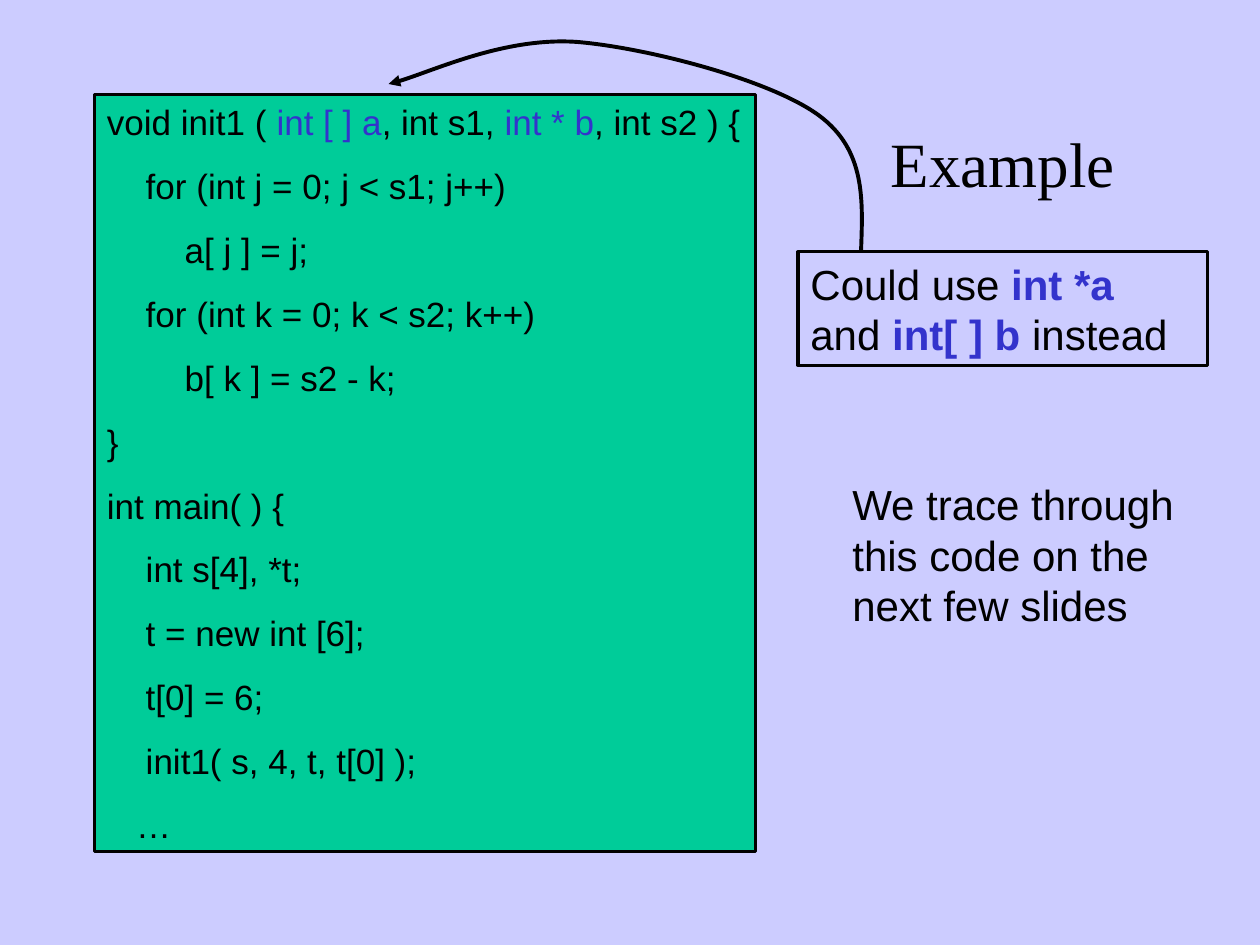
from dataclasses import dataclass

from lxml import etree
from pptx import Presentation
from pptx.dml.color import RGBColor
from pptx.enum.shapes import MSO_SHAPE
from pptx.enum.text import MSO_ANCHOR, PP_ALIGN
from pptx.oxml.ns import qn
from pptx.util import Pt

RECTANGLE = MSO_SHAPE.RECTANGLE
TOP, MIDDLE = MSO_ANCHOR.TOP, MSO_ANCHOR.MIDDLE
LEFT, CENTER = PP_ALIGN.LEFT, PP_ALIGN.CENTER


@dataclass(frozen=True)
class Theme:
    background: RGBColor = RGBColor(0xCC, 0xCC, 0xFF)
    panel: RGBColor = RGBColor(0x00, 0xCC, 0x99)
    ink: RGBColor = RGBColor(0x00, 0x00, 0x00)
    accent: RGBColor = RGBColor(0x33, 0x33, 0xCC)
    title_font: str = "Times New Roman"
    body_font: str = "Arial"
    title_size: float = 36
    code_size: float = 20
    note_size: float = 24
    line_height: float = 1.2
    code_gap: float = 12.5
    border: float = 1.75
    arrow: float = 2.25


def write_text(frame, paragraphs, *, font, size, color, accent, accent_bold=False,
               align=LEFT, anchor=TOP, line_height=None, gap=0):
    """Fill a frame; in each paragraph, text between backticks is accented."""
    frame.word_wrap = True
    frame.vertical_anchor = anchor
    for index, content in enumerate(paragraphs):
        paragraph = frame.add_paragraph() if index else frame.paragraphs[0]
        paragraph.alignment = align
        paragraph.space_before = Pt(gap if index else 0)
        if line_height:
            paragraph.line_spacing = Pt(size * line_height)
        for position, part in enumerate(content.split("`")):
            if not part:
                continue
            accented = position % 2 == 1
            run = paragraph.add_run()
            run.text = part
            run.font.name = font
            run.font.size = Pt(size)
            run.font.bold = accented and accent_bold
            run.font.color.rgb = accent if accented else color


class SlideBuilder:
    def __init__(self, presentation, theme):
        self.theme = theme
        self.slide = presentation.slides.add_slide(presentation.slide_layouts[5])
        fill = self.slide.background.fill
        fill.solid()
        fill.fore_color.rgb = theme.background

    def title(self, text, left, top, width, height):
        shape = self.slide.shapes.title
        shape.left, shape.top, shape.width, shape.height = map(Pt, (left, top, width, height))
        write_text(shape.text_frame, [text], font=self.theme.title_font,
                   size=self.theme.title_size, color=self.theme.ink,
                   accent=self.theme.accent, align=CENTER, anchor=MIDDLE)

    def body_text(self, shape, paragraphs, size, **style):
        write_text(shape.text_frame, paragraphs, font=self.theme.body_font, size=size,
                   color=self.theme.ink, accent=self.theme.accent,
                   line_height=self.theme.line_height, **style)

    def box(self, paragraphs, left, top, width, height, size, fill=None, **style):
        shape = self.slide.shapes.add_shape(RECTANGLE, *map(Pt, (left, top, width, height)))
        shape.shadow.inherit = False
        if fill is None:
            shape.fill.background()
        else:
            shape.fill.solid()
            shape.fill.fore_color.rgb = fill
        self.outline(shape, self.theme.border)
        self.body_text(shape, paragraphs, size, **style)

    def note(self, text, left, top, width, height):
        shape = self.slide.shapes.add_textbox(*map(Pt, (left, top, width, height)))
        self.body_text(shape, [text], self.theme.note_size)

    def outline(self, shape, width):
        shape.line.color.rgb = self.theme.ink
        shape.line.width = Pt(width)

    def curved_arrow(self, start, controls):
        """Draw Bezier curves; each three control points form one curve."""
        builder = self.slide.shapes.build_freeform(*map(Pt, start))
        builder.add_line_segments([(Pt(x), Pt(y)) for x, y in controls], close=False)
        shape = builder.convert_to_shape()
        shape.shadow.inherit = False
        shape.fill.background()
        self.outline(shape, self.theme.arrow)
        # Merge each three straight segments into a cubic curve
        segments = list(shape.element.iter(qn("a:lnTo")))
        for first in range(0, len(segments), 3):
            curve = etree.Element(qn("a:cubicBezTo"))
            segments[first].addprevious(curve)
            for segment in segments[first:first + 3]:
                curve.append(segment[0])
                segment.getparent().remove(segment)
        line = shape.element.spPr.find(qn("a:ln"))
        etree.SubElement(line, qn("a:tailEnd"), type="triangle")


CODE = [
    "void init1 ( `int [ ] a`, int s1, `int * b`, int s2 ) {",
    "    for (int j = 0; j < s1; j++)",
    "        a[ j ] = j;",
    "    for (int k = 0; k < s2; k++)",
    "        b[ k ] = s2 - k;",
    "}",
    "int main( ) {",
    "    int s[4], *t;",
    "    t = new int [6];",
    "    t[0] = 6;",
    "    init1( s, 4, t, t[0] );",
    "   …",
]


def main():
    theme = Theme()
    presentation = Presentation()
    presentation.slide_width, presentation.slide_height = Pt(720), Pt(540)
    builder = SlideBuilder(presentation, theme)

    # Title and code panel
    builder.title("Example", 480, 48, 186, 90)
    builder.box(CODE, 54, 54, 378, 432.7, theme.code_size,
                fill=theme.panel, gap=theme.code_gap)

    # Callout and its arrow to the parameter list
    builder.box(["Could use `int *a `and `int[ ] b `instead"],
                456, 144, 234, 64.8, theme.note_size, accent_bold=True)
    builder.curved_arrow((492, 144), [
        (493, 115), (495, 86), (468, 66),
        (441, 46), (371, 27.5), (330, 24),
        (289, 21), (240, 44), (222, 48),
    ])

    # Closing remark
    builder.note("We trace through this code on the next few slides", 480, 270, 204, 93.6)
    presentation.save("out.pptx")


if __name__ == "__main__":
    main()
